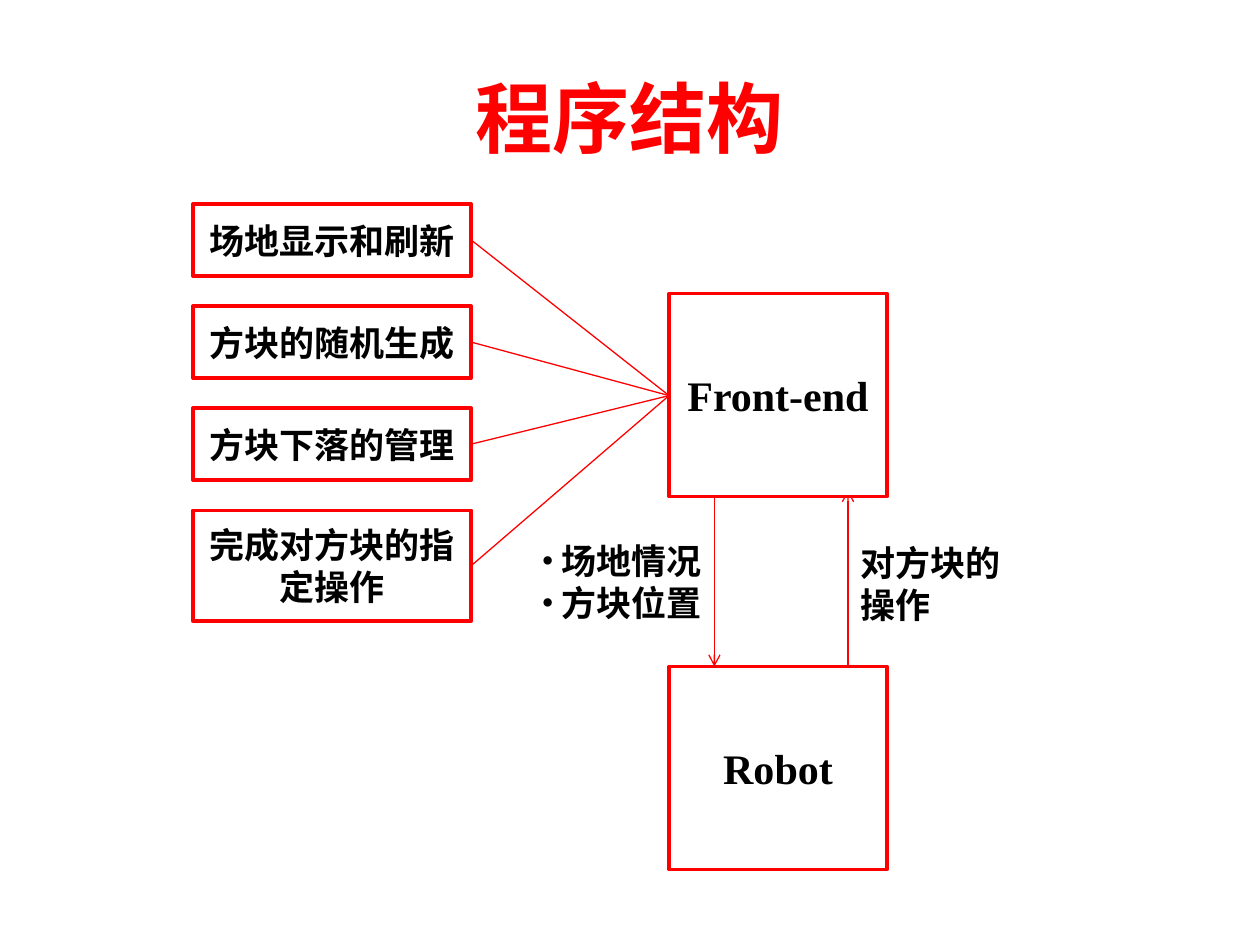
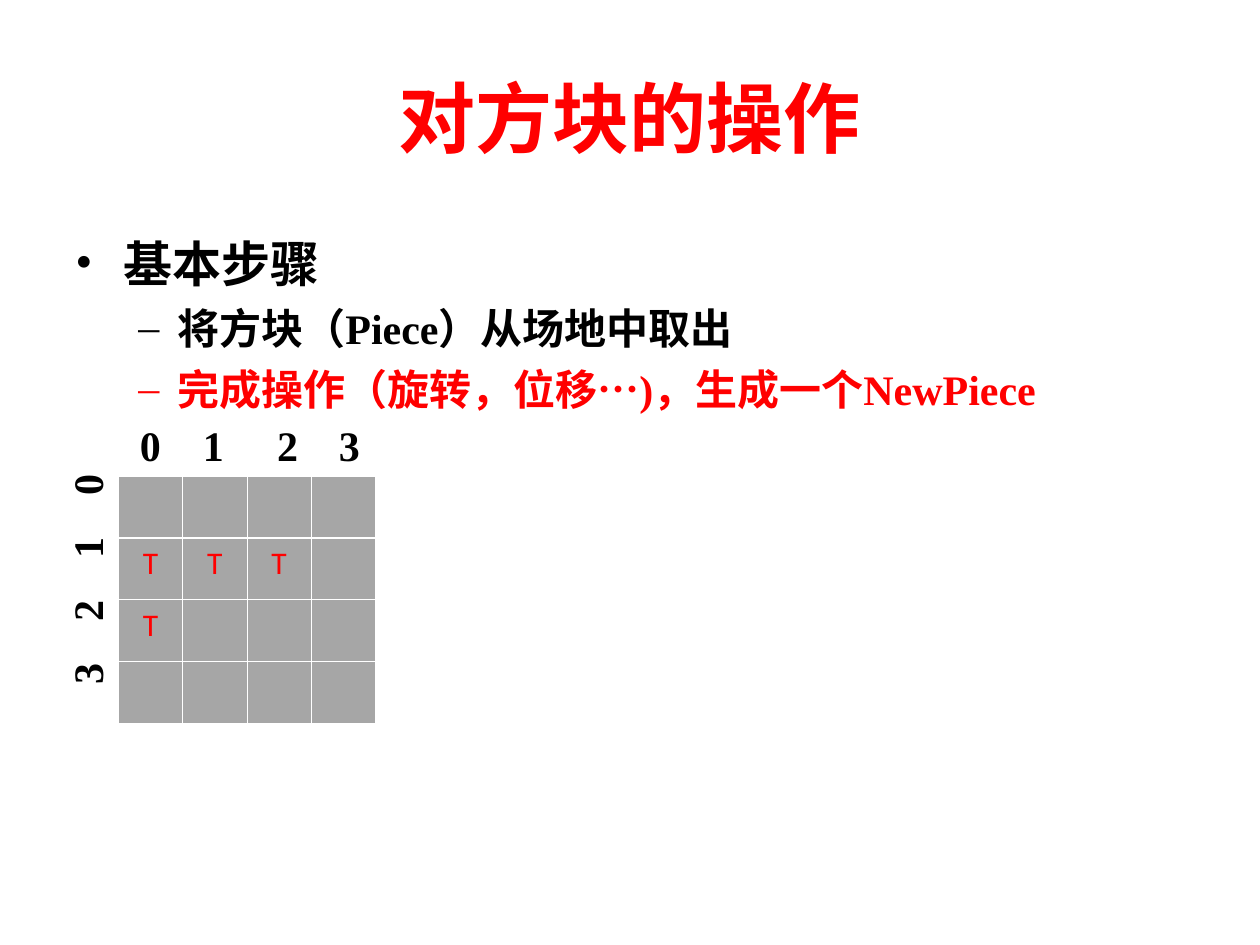
from dataclasses import dataclass

from lxml.etree import SubElement as Sub
from pptx import Presentation
from pptx.dml.color import RGBColor as RGB
from pptx.enum.shapes import MSO_CONNECTOR as Conn, MSO_SHAPE as Shape
from pptx.enum.text import MSO_ANCHOR as Anchor, PP_ALIGN as Align
from pptx.oxml.ns import qn
from pptx.util import Inches, Pt


@dataclass(frozen=True)
class Theme:
    red: str = "FF0000"
    black: str = "000000"
    white: str = "FFFFFF"
    gray: str = "A6A6A6"
    latin: str = "Times New Roman"
    asian: str = "Noto Sans CJK SC"
    cell: str = "Calibri"
    title: int = 44
    head: int = 28
    body: int = 24
    label: int = 20
    mark: int = 18
    lead: float = 1.2


T = Theme()


# Text helpers
def style(par, size, color=T.black, bold=True, face=T.latin):
    for run in par.runs:
        font = run.font
        font.name, font.size, font.bold = face, Pt(size), bold
        font.color.rgb = RGB.from_string(color)
        Sub(run._r.get_or_add_rPr(), qn("a:ea"), typeface=T.asian)


def tight(par, size):
    par.line_spacing = Pt(round(size * T.lead, 1))


def bullet(par, char, left, hang, color=T.black):
    props = par._p.get_or_add_pPr()
    props.set("marL", str(Inches(left)))
    props.set("indent", str(-Inches(hang)))
    tint = Sub(props, qn("a:buClr"))
    Sub(tint, qn("a:srgbClr"), val=color)
    Sub(props, qn("a:buFont"), typeface=T.latin)
    Sub(props, qn("a:buChar"), char=char)


def tabs(par, stops):
    stop_list = Sub(par._p.get_or_add_pPr(), qn("a:tabLst"))
    for stop in stops:
        Sub(stop_list, qn("a:tab"), pos=str(Inches(stop)), algn="l")


def area(slide, left, top, width, height, inset=0.08):
    box = slide.shapes.add_textbox(*map(Inches, (left, top, width, height)))
    frame = box.text_frame
    frame.word_wrap = True
    frame.margin_top = Inches(inset)
    return box


# Shape helpers
def block(slide, text, left, top, width, height, size, wraps=False):
    box = slide.shapes.add_shape(
        Shape.RECTANGLE, *map(Inches, (left, top, width, height)))
    box.shadow.inherit = False
    box.fill.solid()
    box.fill.fore_color.rgb = RGB.from_string(T.white)
    box.line.color.rgb = RGB.from_string(T.red)
    box.line.width = Pt(2)
    frame = box.text_frame
    frame.word_wrap = True
    frame.vertical_anchor = Anchor.MIDDLE
    par = frame.paragraphs[0]
    par.text = text
    par.alignment = Align.CENTER
    if wraps:
        tight(par, size)
    style(par, size)


def link(slide, x1, y1, x2, y2, arrow=False):
    line = slide.shapes.add_connector(
        Conn.STRAIGHT, *map(Inches, (x1, y1, x2, y2)))
    line.line.color.rgb = RGB.from_string(T.red)
    line.line.width = Pt(0.75)
    props = line._element.spPr
    if arrow:
        Sub(props.find(qn("a:ln")), qn("a:tailEnd"), type="arrow")
    Sub(props, qn("a:effectLst"))


def page(deck, text):
    slide = deck.slides.add_slide(deck.slide_layouts[5])
    title = slide.shapes.title
    title.left, title.top = Inches(0.5), Inches(0.3)
    title.width, title.height = Inches(9), Inches(1.25)
    frame = title.text_frame
    frame.text = text
    frame.vertical_anchor = Anchor.MIDDLE
    par = frame.paragraphs[0]
    par.alignment = Align.CENTER
    style(par, T.title, T.red)
    return slide


# Task boxes, each joined to one hub point
def tasks(slide, left, top, hub):
    width, gap = 2.21, 0.24
    items = (("场地显示和刷新", 0.57), ("方块的随机生成", 0.57),
             ("方块下落的管理", 0.57), ("完成对方块的指定操作", 0.88))
    for text, height in items:
        block(slide, text, left, top, width, height, T.label, height > 0.6)
        link(slide, left + width, top + height / 2, *hub)
        top += height + gap


# Front-end above, Robot below, with the messages between them
def modules(slide, left, top):
    width, height, drop = 1.73, 1.61, 2.96
    foot, low = top + height, top + drop
    block(slide, "Robot", left, low, width, height, T.body)
    link(slide, left + 0.36, foot - 0.05, left + 0.36, low, True)
    link(slide, left + 1.42, low, left + 1.42, foot - 0.05, True)
    block(slide, "Front-end", left, top, width, height, T.body)

    sent = area(slide, left - 1.33, foot + 0.26, 1.76, 0.77)
    sent.text_frame.text = "场地情况\n方块位置"
    for par in sent.text_frame.paragraphs:
        bullet(par, "•", 0.38, 0.16)
        tight(par, T.label)
        style(par, T.label)

    reply = area(slide, left + 1.42, foot + 0.28, 1.38, 0.77)
    reply.text_frame.text = "对方块的操作"
    par = reply.text_frame.paragraphs[0]
    tight(par, T.label)
    style(par, T.label)


# Bulleted steps
def steps(slide, left, top, width, height):
    lines = (("基本步骤", 0, T.black),
             ("将方块（Piece）从场地中取出", 1, T.black),
             ("完成操作（旋转，位移…)，生成一个NewPiece", 1, T.red))
    looks = (("•", 0.38, 0.38, T.head), ("–", 0.81, 0.31, T.body))
    frame = area(slide, left, top, width, height, 0.1).text_frame
    frame.text = "\n".join(line[0] for line in lines)
    for par, (_, level, color) in zip(frame.paragraphs, lines):
        char, indent, hang, size = looks[level]
        par.level = level
        bullet(par, char, indent, hang, color)
        tight(par, size)
        par.space_before, par.space_after = Pt(0), Pt(6)
        style(par, size, color)


# Row of index digits set on tab stops
def digits(slide, text, left, top, stops, turn=0):
    box = area(slide, left, top, 2.05, 0.9, 0.05)
    box.rotation = turn
    frame = box.text_frame
    frame.margin_left, frame.margin_right = Inches(0.18), 0
    par = frame.paragraphs[0]
    par.text = "\t".join(text)
    tabs(par, stops)
    style(par, T.body)


def edge(cell, side, width):
    line = Sub(cell._tc.get_or_add_tcPr(), qn("a:" + side), w=str(Pt(width)))
    fill = Sub(line, qn("a:solidFill"))
    Sub(fill, qn("a:srgbClr"), val=T.white)


# Grid of the piece with its row and column digits
def piece(slide, left, top):
    rows = ("    ", "TTT ", "T   ", "    ")
    count, wide, high = len(rows), 0.51, 0.49
    grid = slide.shapes.add_table(
        count, count, Inches(left), Inches(top),
        Inches(wide * count), Inches(high * count)).table
    grid.first_row = grid.horz_banding = False
    for i, marks in enumerate(rows):
        grid.rows[i].height = Inches(high)
        grid.columns[i].width = Inches(wide)
        for j, mark in enumerate(marks):
            cell = grid.cell(i, j)
            for side in ("lnL", "lnR", "lnT", "lnB"):
                thick = (i, side) in ((0, "lnB"), (1, "lnT"))
                edge(cell, side, 1.47 if thick else 0.45)
            cell.fill.solid()
            cell.fill.fore_color.rgb = RGB.from_string(T.gray)
            par = cell.text_frame.paragraphs[0]
            par.text = mark.strip()
            par.alignment = Align.CENTER
            style(par, T.mark, T.red, False, T.cell)
    digits(slide, "0123", left - 0.01, top - 0.5, (0.5, 1.09, 1.58))
    digits(slide, "3210", left - 1.08, top + 0.36, (0.5, 1, 1.5), 270)


def main():
    deck = Presentation()
    deck.slide_width, deck.slide_height = Inches(10), Inches(7.5)

    slide = page(deck, "程序结构")
    tasks(slide, 1.53, 1.62, (5.31, 3.14))
    modules(slide, 5.31, 2.33)

    slide = page(deck, "对方块的操作")
    piece(slide, 0.94, 3.78)
    steps(slide, 0.5, 1.75, 9, 4.95)

    deck.save("out.pptx")


if __name__ == "__main__":
    main()
